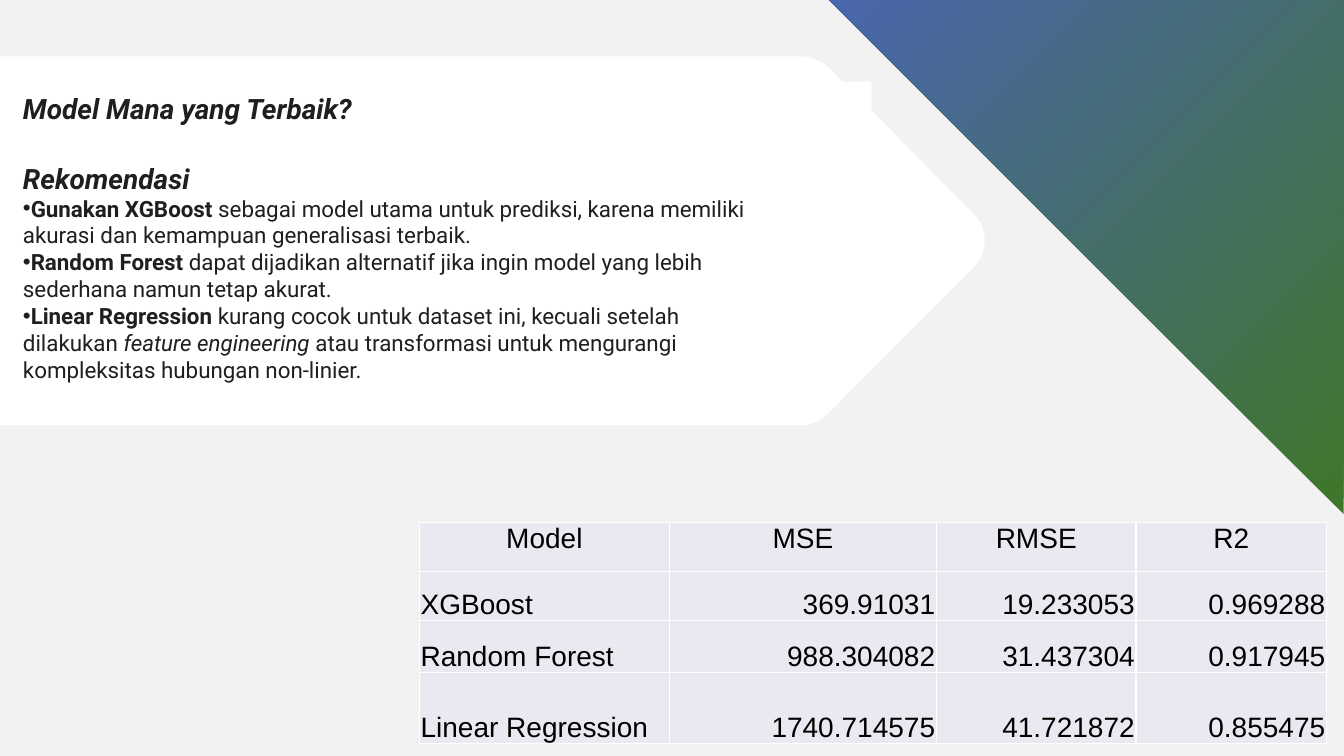
from lxml import etree
from pptx import Presentation
from pptx.dml.color import RGBColor
from pptx.enum.shapes import MSO_SHAPE
from pptx.enum.text import MSO_ANCHOR, PP_ALIGN
from pptx.oxml.ns import qn
from pptx.util import Cm, Pt

RECTANGLE, TRIANGLE = MSO_SHAPE.RECTANGLE, MSO_SHAPE.RIGHT_TRIANGLE
TOP, BOTTOM = MSO_ANCHOR.TOP, MSO_ANCHOR.BOTTOM
LEFT, CENTER, RIGHT = PP_ALIGN.LEFT, PP_ALIGN.CENTER, PP_ALIGN.RIGHT

HEADING = dict(size=20, bold=True, italic=True)
STRONG = dict(bold=True)
EMPHASIS = dict(italic=True)
PLAIN = {}

RECOMMENDATIONS = [
    [("Gunakan XGBoost", STRONG),
     (" sebagai model utama untuk prediksi, karena memiliki akurasi dan "
      "kemampuan generalisasi terbaik.", PLAIN)],
    [("Random Forest", STRONG),
     (" dapat dijadikan alternatif jika ingin model yang lebih sederhana "
      "namun tetap akurat.", PLAIN)],
    [("Linear Regression", STRONG),
     (" kurang cocok untuk dataset ini, kecuali setelah dilakukan ", PLAIN),
     ("feature engineering", EMPHASIS),
     (" atau transformasi untuk mengurangi kompleksitas hubungan non-linier.", PLAIN)],
]

SCORES = [
    ["Model", "MSE", "RMSE", "R2"],
    ["XGBoost", "369.91031", "19.233053", "0.969288"],
    ["Random Forest", "988.304082", "31.437304", "0.917945"],
    ["Linear Regression", "1740.714575", "41.721872", "0.855475"],
]


def color(hex_string):
    return RGBColor.from_string(hex_string)


def curve(start, control_1, control_2, end, steps=12):
    """Return points along a cubic Bezier curve."""
    points = []
    for step in range(steps + 1):
        t = step / steps
        weights = ((1 - t) ** 3, 3 * t * (1 - t) ** 2, 3 * t * t * (1 - t), t ** 3)
        corners = (start, control_1, control_2, end)
        points.append(tuple(sum(w * corner[axis] for w, corner in zip(weights, corners))
                            for axis in (0, 1)))
    return points


class SlideBuilder:
    white = "FFFFFF"
    text_color = "1F1F1F"
    text_font = "Roboto"
    table_font = "Arial"
    cell_fill = "E9EAF1"

    def __init__(self, slide, background):
        self.slide = slide
        slide.background.fill.solid()
        slide.background.fill.fore_color.rgb = color(background)

    def finish(self, shape):
        shape.shadow.inherit = False
        shape.line.fill.background()

    def outline(self, points):
        builder = self.slide.shapes.build_freeform(
            *(Cm(value) for value in points[0]), scale=1.0)
        builder.add_line_segments([(Cm(x), Cm(y)) for x, y in points[1:]], close=True)
        shape = builder.convert_to_shape()
        shape.fill.solid()
        shape.fill.fore_color.rgb = color(self.white)
        self.finish(shape)

    def gradient_triangle(self, left, top, size, stops):
        shape = self.slide.shapes.add_shape(TRIANGLE, Cm(left), Cm(top), Cm(size), Cm(size))
        shape.rotation = 180
        shape.fill.gradient()
        shape.fill.gradient_angle = 315
        for stop, hex_string in zip(shape.fill.gradient_stops, stops):
            stop.color.rgb = color(hex_string)
        self.finish(shape)

    def text_panel(self, left, top, width, height, heading, bullets=(),
                   inset_top=0.25, inset_right=0.25):
        shape = self.slide.shapes.add_shape(
            RECTANGLE, Cm(left), Cm(top), Cm(width), Cm(height))
        shape.fill.solid()
        shape.fill.fore_color.rgb = color(self.white)
        self.finish(shape)
        frame = shape.text_frame
        frame.word_wrap = True
        frame.vertical_anchor = TOP
        frame.margin_left, frame.margin_right = Cm(0.25), Cm(inset_right)
        frame.margin_top = Cm(inset_top)
        self.add_runs(frame.paragraphs[0], [(heading, HEADING)])
        for runs in bullets:
            paragraph = frame.add_paragraph()
            properties = paragraph._p.get_or_add_pPr()
            properties.set("marL", "0")
            properties.set("indent", "0")
            etree.SubElement(properties, qn("a:buFont")).set("typeface", "Arial")
            etree.SubElement(properties, qn("a:buChar")).set("char", "•")
            self.add_runs(paragraph, runs)

    def add_runs(self, paragraph, runs):
        paragraph.alignment = LEFT
        for text, style in runs:
            run = paragraph.add_run()
            run.text = text
            run.font.name = self.text_font
            run.font.size = Pt(style.get("size", 16))
            run.font.bold = style.get("bold", False)
            run.font.italic = style.get("italic", False)
            run.font.color.rgb = color(self.text_color)

    def table(self, left, top, widths, heights, rows):
        table = self.slide.shapes.add_table(
            len(rows), len(widths), Cm(left), Cm(top),
            Cm(sum(widths)), Cm(sum(heights))).table
        table.first_row = table.horz_banding = False
        for column, width in zip(table.columns, widths):
            column.width = Cm(width)
        for row, height in zip(table.rows, heights):
            row.height = Cm(height)
        for row_index, values in enumerate(rows):
            for column_index, value in enumerate(values):
                header = row_index == 0
                alignment = CENTER if header else RIGHT if column_index else LEFT
                self.fill_cell(table.cell(row_index, column_index), value,
                               alignment, TOP if header else BOTTOM)

    def fill_cell(self, cell, text, alignment, anchor):
        cell.margin_left = cell.margin_right = cell.margin_top = Cm(0.03)
        cell.margin_bottom = 0
        cell.vertical_anchor = anchor
        properties = cell._tc.get_or_add_tcPr()
        for side in ("a:lnL", "a:lnR", "a:lnT", "a:lnB"):
            border = etree.SubElement(properties, qn(side), w=str(Pt(1)))
            fill = etree.SubElement(border, qn("a:solidFill"))
            etree.SubElement(fill, qn("a:srgbClr"), val=self.white)
        cell.fill.solid()
        cell.fill.fore_color.rgb = color(self.cell_fill)
        paragraph = cell.text_frame.paragraphs[0]
        paragraph.alignment = alignment
        run = paragraph.add_run()
        run.text = text
        run.font.name = self.table_font
        run.font.size = Pt(20)
        run.font.bold = False
        run.font.color.rgb = color("000000")


def main():
    presentation = Presentation()
    presentation.slide_width, presentation.slide_height = Cm(33.87), Cm(19.05)
    slide = presentation.slides.add_slide(presentation.slide_layouts[6])
    builder = SlideBuilder(slide, "F2F2F2")

    builder.outline(
        [(0, 1.42)]
        + curve((20.17, 1.42), (20.42, 1.42), (20.68, 1.52), (20.88, 1.7))
        + curve((24.51, 5.36), (24.92, 5.74), (24.92, 6.38), (24.51, 6.76))
        + curve((20.88, 10.41), (20.68, 10.62), (20.42, 10.72), (20.17, 10.72))
        + [(0, 10.72)])
    builder.gradient_triangle(20.91, 0, 12.95, ["3F762A", "4A66AC"])
    builder.text_panel(0.33, 3.78, 20.04, 6.86, "Rekomendasi", RECOMMENDATIONS,
                       inset_top=0.28, inset_right=1.27)
    builder.table(10.57, 13.16, [6.3, 6.73, 5.03, 4.8], [1.24, 1.24, 1.3, 1.8], SCORES)
    builder.text_panel(0.33, 2.06, 21.64, 2.06, "Model Mana yang Terbaik?")
    presentation.save("out.pptx")


if __name__ == "__main__":
    main()
